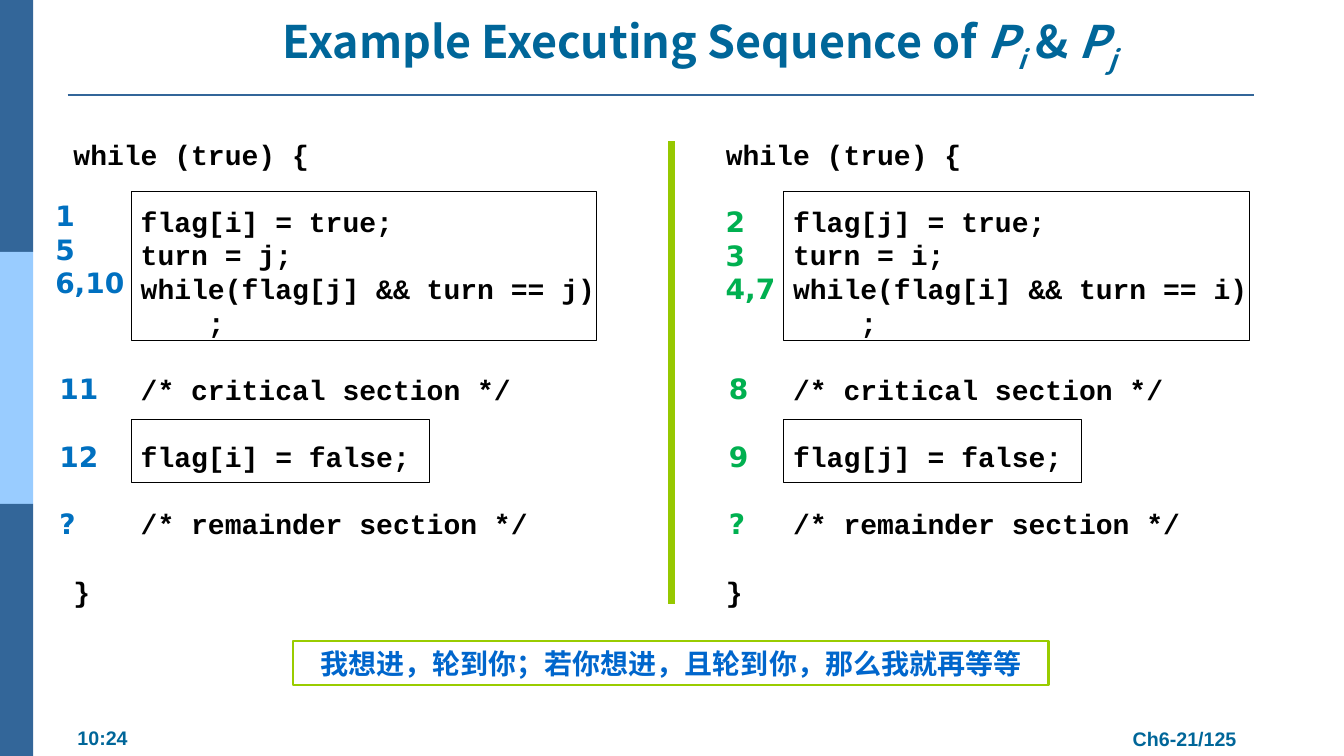
from lxml import etree
from pptx import Presentation
from pptx.dml.color import RGBColor
from pptx.enum.shapes import MSO_CONNECTOR, MSO_SHAPE
from pptx.enum.text import MSO_ANCHOR, PP_ALIGN
from pptx.oxml.ns import qn
from pptx.util import Inches, Pt

TITLE = [("Example Executing Sequence of ", False, False), ("P", True, False),
         ("i", True, True), (" & ", False, False), ("P", True, False), ("j", True, True)]
CODE = [
    ("while (true) {", 0),
    ("    flag[{me}] = true;", 1),
    ("    turn = {other};", 0),
    ("    while(flag[{other}] && turn == {other})", 0),
    ("        ;", 0),
    ("    /* critical section */", 1),
    ("    flag[{me}] = false;", 1),
    ("    /* remainder section */", 1),
    ("}", 1),
]
PROCESSES = [
    {"me": "i", "other": "j", "left": 0.63, "color": "0070C0",
     "entry": (["1", "5", "6,10"], 0.45, 1.92, 0.97),
     "later": (["11", "12", "?"], 0.49)},
    {"me": "j", "other": "i", "left": 7.1, "color": "00B050",
     "entry": (["2", "3", "4,7"], 7.1, 1.98, 0.74),
     "later": (["8", "9", "?"], 7.13)},
]
SUMMARY = "我想进，轮到你；若你想进，且轮到你，那么我就再等等"
FOOTERS = [("10:24", 0.67, 7.15, 0.7, PP_ALIGN.LEFT),
           ("Ch6-21/125", 11.12, 7.16, 1.26, PP_ALIGN.CENTER)]
SIDE_BANDS = ["336699", "99CCFF", "336699"]
ROW = Pt(24)


def rgb(color):
    return RGBColor.from_string(color)


def add_run(p, text, size, font, color):
    r = p.add_run()
    r.text = text
    r.font.size = Pt(size)
    r.font.name = font
    r.font.bold = True
    r.font.color.rgb = rgb(color)
    latin = r.font._element.find(qn("a:latin"))
    ea = etree.Element(qn("a:ea"), typeface=font)
    latin.addnext(ea)
    return r


def text_box(s, left, top, width, height, wrap=True):
    sp = s.shapes.add_textbox(Inches(left), Inches(top), Inches(width), Inches(height))
    tf = sp.text_frame
    tf.word_wrap = wrap
    return tf


def add_rows(tf, rows, font, color):
    for n, (text, gap) in enumerate(rows):
        p = tf.add_paragraph() if n else tf.paragraphs[0]
        p.line_spacing = ROW
        if gap:
            p.space_before = ROW * gap
        add_run(p, text, 20, font, color)


def rect(s, left, top, width, height, fill=None, line=None, weight=0.75):
    sp = s.shapes.add_shape(MSO_SHAPE.RECTANGLE, Inches(left), Inches(top),
                            Inches(width), Inches(height))
    sp.shadow.inherit = False
    if fill:
        sp.fill.solid()
        sp.fill.fore_color.rgb = rgb(fill)
    else:
        sp.fill.background()
    if line:
        sp.line.color.rgb = rgb(line)
        sp.line.width = Pt(weight)
    else:
        sp.line.fill.background()
    return sp


def rule(s, x1, y1, x2, y2, color, weight):
    c = s.shapes.add_connector(MSO_CONNECTOR.STRAIGHT, Inches(x1), Inches(y1),
                               Inches(x2), Inches(y2))
    c.line.color.rgb = rgb(color)
    c.line.width = Pt(weight)
    etree.SubElement(c._element.spPr, qn("a:effectLst"))


def add_process(s, proc):
    left = proc["left"]
    tf = text_box(s, left, 1.28, 5.79, 4.81)
    tf.margin_top = Inches(0.08)
    rows = [(text.replace("{me}", proc["me"]).replace("{other}", proc["other"]), gap)
            for text, gap in CODE]
    add_rows(tf, rows, "Courier New", "000000")
    for top, width, height in [(1.9, 4.62, 1.48), (4.16, 2.96, 0.63)]:
        rect(s, left + 0.67, top, width, height, line="000000")

    steps, x, y, width = proc["entry"]
    add_rows(text_box(s, x, y, width, 1.11), [(t, 0) for t in steps],
             "DejaVu Sans", proc["color"])
    steps, x = proc["later"]
    add_rows(text_box(s, x, 3.64, 0.74, 1.78), [(t, min(n, 1)) for n, t in enumerate(steps)],
             "DejaVu Sans", proc["color"])


def main():
    prs = Presentation()
    prs.slide_width, prs.slide_height = Inches(13.33), Inches(7.5)
    s = prs.slides.add_slide(prs.slide_layouts[6])

    for n, color in enumerate(SIDE_BANDS):
        rect(s, 0, 2.5 * n, 0.33, 2.5, fill=color)
    rule(s, 0.67, 0.94, 12.44, 0.94, "336699", 1.5)
    for text, left, top, width, align in FOOTERS:
        p = text_box(s, left, top, width, 0.34, wrap=False).paragraphs[0]
        p.alignment = align
        add_run(p, text, 14, "Arial", "006699")

    tf = text_box(s, 2.02, 0.16, 9.84, 0.63)
    tf.vertical_anchor = MSO_ANCHOR.BOTTOM
    p = tf.paragraphs[0]
    p.alignment = PP_ALIGN.CENTER
    for text, italic, subscript in TITLE:
        r = add_run(p, text, 32, "Noto Sans CJK SC", "006699")
        r.font.italic = italic
        if subscript:
            r.font._element.set("baseline", "-25000")

    for proc in PROCESSES:
        add_process(s, proc)
    rule(s, 6.66, 1.4, 6.66, 5.99, "96C800", 5)

    tf = rect(s, 2.91, 6.36, 7.49, 0.44, line="99CC00", weight=1.5).text_frame
    tf.word_wrap = True
    tf.vertical_anchor = MSO_ANCHOR.MIDDLE
    p = tf.paragraphs[0]
    p.alignment = PP_ALIGN.CENTER
    add_run(p, SUMMARY, 20, "Noto Sans CJK SC", "0066CC")

    prs.save("out.pptx")


if __name__ == "__main__":
    main()
